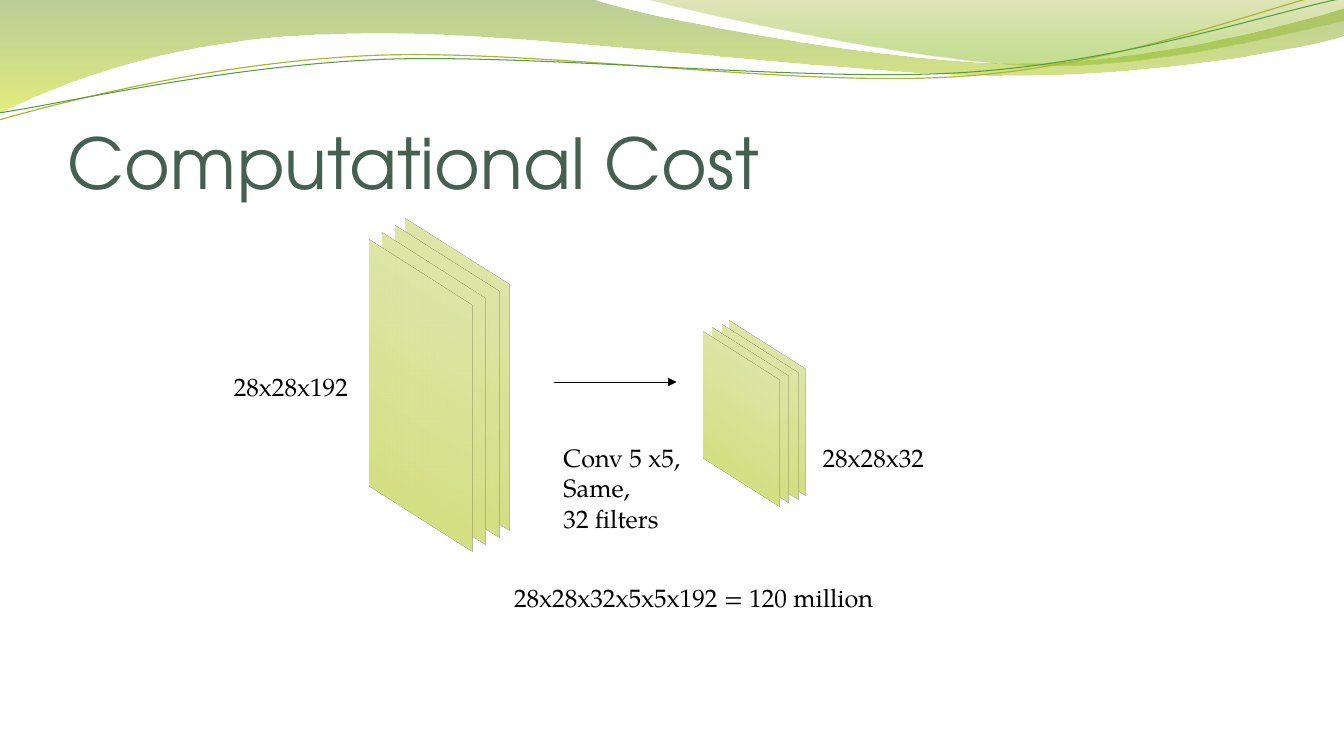
import pptx
import pptx.dml.color
import pptx.enum.shapes
import pptx.enum.text
import pptx.oxml.ns
import pptx.util
from lxml import etree

Inches = pptx.util.Inches
Pt = pptx.util.Pt
qn = pptx.oxml.ns.qn

# Each outline is a start point followed by segments:
# two numbers make a straight line, six numbers make a cubic curve.
WAVE_BANDS = [
    ([
        (0, 0), (5.87, -0.01),
        (6.34, 0.17, 8.84, 0.63, 10.11, 0.63),
        (11.37, 0.63, 12.77, 0.26, 13.33, 0.09),
        (13.34, 0.36),
        (13.11, 0.44, 11.59, 0.76, 9.94, 0.75),
        (8.29, 0.75, 5.09, 0.28, 3.43, 0.34),
        (1.72, 0.36, 0.61, 0.83, -0.02, 1.13),
    ], [(0, "69921C", 45), (1, "CCE10F", 55)]),
    ([
        (6.38, -0.01),
        (6.79, 0.11, 9.09, 0.62, 10.25, 0.65),
        (11.4, 0.69, 12.82, 0.32, 13.33, 0.21),
        (13.33, 0),
    ], [(0, "9BAA1A", 30), (0.8, "81BA16", 45)]),
]
WAVE_LINES = [
    ([
        (-0.01, 1.19),
        (0.63, 1.01, 2.1, 0.62, 3.69, 0.55),
        (5.27, 0.48, 7.89, 0.87, 9.49, 0.76),
        (11.1, 0.66, 12.51, 0.08, 13.3, -0.1),
    ], "A9B733", 0.85),
    ([
        (-0.01, 1.12),
        (0.62, 1.03, 2.18, 0.66, 3.77, 0.59),
        (5.37, 0.53, 7.96, 0.82, 9.55, 0.72),
        (11.14, 0.62, 12.55, 0.14, 13.33, -0.02),
    ], "549E39", 0.75),
]
SHEET_STOPS = [(0, "DDE6A6", 100), (1, "D4E084", 100)]


def color(value):
    return pptx.dml.color.RGBColor.from_string(value)


def add_outline(page, outline, closed):
    """Draw straight segments, then bend those that have control points."""
    corners = [(Inches(part[-2]), Inches(part[-1])) for part in outline]
    builder = page.shapes.build_freeform(*corners[0])
    builder.add_line_segments(corners[1:], close=closed)
    shape = builder.convert_to_shape()
    shape.shadow.inherit = False
    straights = list(shape.element.spPr.iter(qn("a:lnTo")))
    for straight, part in zip(straights, outline[1:]):
        if len(part) == 6:
            straight.tag = qn("a:cubicBezTo")
            for place in (0, 2):
                control = etree.Element(qn("a:pt"))
                control.set("x", str(Inches(part[place]) - shape.left))
                control.set("y", str(Inches(part[place + 1]) - shape.top))
                straight.insert(place // 2, control)
    return shape


def fill_downward(shape, stops):
    """Fill from top to bottom with (position, colour, opacity percent) stops."""
    shape.fill.gradient()
    shape.fill.gradient_angle = 270
    for stop, (position, value, opacity) in zip(shape.fill.gradient_stops, stops):
        stop.position = position
        stop.color.rgb = color(value)
    if any(opacity < 100 for _, _, opacity in stops):
        tints = shape.element.spPr.find(qn("a:gradFill")).iter(qn("a:srgbClr"))
        for tint, (_, _, opacity) in zip(tints, stops):
            etree.SubElement(tint, qn("a:alpha")).set("val", str(opacity * 1000))


def set_line(shape, value, width):
    shape.line.color.rgb = color(value)
    shape.line.width = Pt(width)


def add_waves(page):
    for outline, stops in WAVE_BANDS:
        band = add_outline(page, outline, True)
        fill_downward(band, stops)
        band.line.fill.background()
    for outline, value, width in WAVE_LINES:
        wave = add_outline(page, outline, False)
        wave.fill.background()
        set_line(wave, value, width)


def format_text(frame, size, font, value):
    for para in frame.paragraphs:
        para.alignment = pptx.enum.text.PP_ALIGN.LEFT
        for span in para.runs:
            span.font.size = Pt(size)
            span.font.name = font
            span.font.color.rgb = color(value)


def add_title(page, text, left, top, width, height):
    title = page.shapes.title
    title.left, title.top = Inches(left), Inches(top)
    title.width, title.height = Inches(width), Inches(height)
    frame = title.text_frame
    frame.text = text
    frame.auto_size = pptx.enum.text.MSO_AUTO_SIZE.NONE
    frame.vertical_anchor = pptx.enum.text.MSO_ANCHOR.BOTTOM
    frame.margin_left = frame.margin_right = frame.margin_bottom = 0
    frame.margin_top = Inches(0.05)
    format_text(frame, 50, "TeX Gyre Adventor", "455F51")


def turn_left(shape):
    """Show the shape as the left face of a block seen from above."""
    scene = etree.SubElement(shape.element.spPr, qn("a:scene3d"))
    etree.SubElement(scene, qn("a:camera")).set("prst", "isometricOffAxis1Left")
    light = etree.SubElement(scene, qn("a:lightRig"))
    light.set("rig", "threePt")
    light.set("dir", "t")


def add_sheet_stack(page, left, top, width, height, shifts):
    """Stack sheets from back to front; left and top place the front one."""
    for right, up in reversed(shifts):
        sheet = page.shapes.add_shape(
            pptx.enum.shapes.MSO_SHAPE.RECTANGLE,
            Inches(left + right), Inches(top - up), Inches(width), Inches(height))
        sheet.shadow.inherit = False
        fill_downward(sheet, SHEET_STOPS)
        set_line(sheet, "C0CF3A", 0.5)
        turn_left(sheet)


def add_arrow(page, left, right, y):
    arrow = page.shapes.add_connector(
        pptx.enum.shapes.MSO_CONNECTOR.STRAIGHT,
        Inches(left), Inches(y), Inches(right), Inches(y))
    set_line(arrow, "000000", 0.5)
    properties = arrow.element.spPr
    head = etree.SubElement(properties.find(qn("a:ln")), qn("a:tailEnd"))
    head.set("type", "triangle")
    etree.SubElement(properties, qn("a:effectLst"))


def add_label(page, text, left, top, width, height, wrap=True):
    box = page.shapes.add_textbox(
        Inches(left), Inches(top), Inches(width), Inches(height))
    frame = box.text_frame
    frame.word_wrap = wrap
    frame.auto_size = pptx.enum.text.MSO_AUTO_SIZE.SHAPE_TO_FIT_TEXT
    frame.text = text
    format_text(frame, 18, "TeX Gyre Pagella", "000000")


def add_convolution(page):
    add_sheet_stack(page, 6.49, 3.5, 1.73, 1.32,
                    [(0, 0), (0.09, 0.04), (0.19, 0.07), (0.26, 0.11)])
    add_sheet_stack(page, 3, 2.64, 2.35, 2.57,
                    [(0, 0), (0.13, 0.07), (0.26, 0.14), (0.36, 0.21)])
    add_arrow(page, 5.49, 6.71, 3.79)
    add_label(page, "Conv 5 x5,\nSame,\n32 filters", 5.49, 4.34, 1.38, 1.01, wrap=False)
    add_label(page, "28x28x32x5x5x192 = 120 million", 5, 5.73, 4.14, 1.01)
    add_label(page, "28x28x192", 2.22, 3.63, 2.62, 0.71)
    add_label(page, "28x28x32", 8.06, 4.34, 2.62, 0.4)


def main():
    deck = pptx.Presentation()
    deck.slide_width, deck.slide_height = Inches(13.33), Inches(7.5)
    page = deck.slides.add_slide(deck.slide_layouts.get_by_name("Title Only"))
    add_waves(page)
    add_title(page, "Computational Cost", 0.67, 0.77, 12, 1.25)
    add_convolution(page)
    deck.save("out.pptx")


if __name__ == "__main__":
    main()
